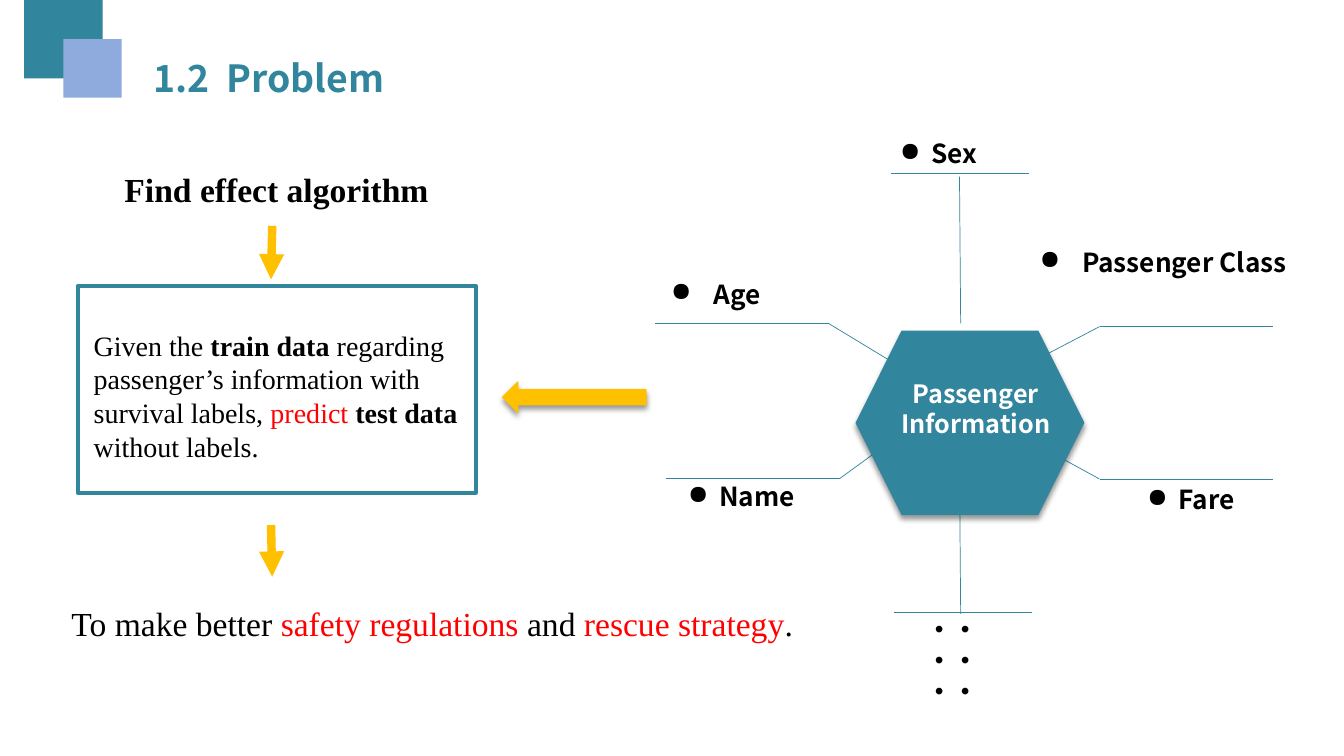
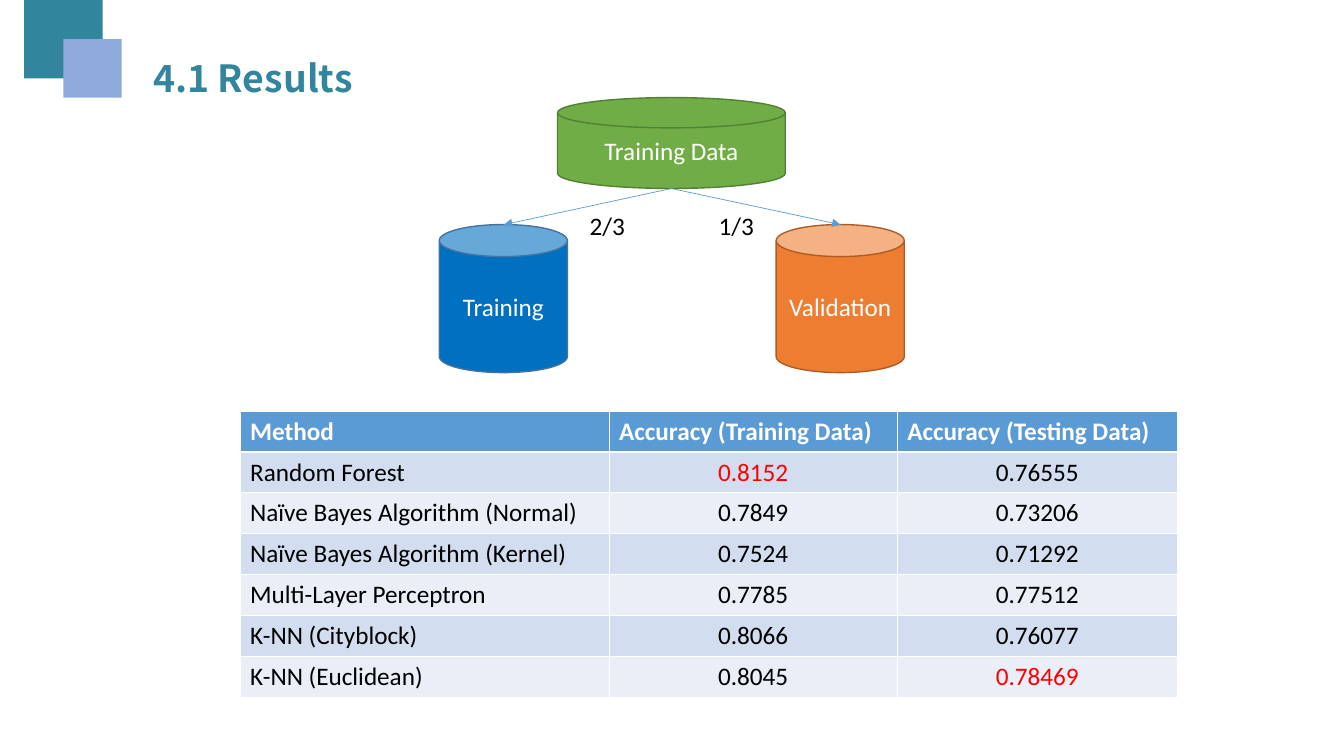
"""Build two slides: the passenger survival problem and the accuracy results."""
from lxml.etree import SubElement
from pptx import Presentation
from pptx.dml.color import RGBColor
from pptx.enum.shapes import MSO_CONNECTOR, MSO_SHAPE
from pptx.enum.text import MSO_ANCHOR, PP_ALIGN
from pptx.oxml.ns import qn
from pptx.util import Cm, Pt

TEAL, PERIWINKLE, AMBER = "31859C", "8FAADC", "FFC000"
BLUE, RED, BLACK, WHITE = "5B9BD5", "FF0000", "000000", "FFFFFF"
SANS, SERIF, BODY = "Noto Sans CJK SC", "Times New Roman", "Calibri"
rgb = RGBColor.from_string


def write(tf, *runs, size=18, font=BODY, color=BLACK, bold=False,
          center=False, bullet=0, wrap=True):
    """Fill a text frame; a run is a string or (string, colour, bold)."""
    tf.word_wrap = wrap
    p = tf.paragraphs[0]
    p.alignment = PP_ALIGN.CENTER if center else PP_ALIGN.LEFT
    if bullet:
        pPr = p._p.get_or_add_pPr()
        pPr.set("marL", str(Cm(bullet)))
        pPr.set("indent", str(-Cm(bullet)))
        SubElement(pPr, qn("a:buChar"), char="●")
    for run in runs:
        text, run_color, run_bold = (run, color, bold) if isinstance(run, str) else run
        r = p.add_run()
        r.text = text
        r.font.name, r.font.size, r.font.bold = font, Pt(size), run_bold
        r.font.color.rgb = rgb(run_color)
        SubElement(r._r.get_or_add_rPr(), qn("a:ea"), typeface=font)


def draw_line(s, start, end, color, width=0.5, arrow=False):
    """Draw a straight line between two points given in centimetres."""
    c = s.shapes.add_connector(MSO_CONNECTOR.STRAIGHT, *map(Cm, start + end))
    c.line.color.rgb = rgb(color)
    c.line.width = Pt(width)
    spPr = c._element.spPr
    if arrow:
        SubElement(spPr.find(qn("a:ln")), qn("a:tailEnd"), type="triangle")
    SubElement(spPr, qn("a:effectLst"))


prs = Presentation()
prs.slide_width, prs.slide_height = Cm(33.87), Cm(19.05)

for title in ("1.2  Problem", "4.1 Results"):
    s = prs.slides.add_slide(prs.slide_layouts[6])
    for x, y, side, color in ((0.61, 0, 1.98, TEAL), (1.6, 0.99, 1.47, PERIWINKLE)):
        sp = s.shapes.add_shape(MSO_SHAPE.RECTANGLE, Cm(x), Cm(y), Cm(side), Cm(side))
        sp.shadow.inherit = False
        sp.fill.solid()
        sp.fill.fore_color.rgb = rgb(color)
        sp.line.fill.background()
    tb = s.shapes.add_textbox(Cm(3.61), Cm(1.27), Cm(9.68), Cm(1.4))
    write(tb.text_frame, title, size=26.7, font=SANS, color=TEAL, bold=True)

problem, results = prs.slides

spokes = (
    ((22.48, 9.12), (20.88, 8.15), (16.51, 8.15)),
    ((24.21, 8.15), (24.18, 4.45)),
    ((25.93, 4.37), (22.45, 4.37)),
    ((26.01, 9.12), (27.71, 8.23), (32.08, 8.23)),
    ((22.48, 11.1), (21.16, 12.06), (16.79, 12.06)),
    ((25.93, 11.1), (27.71, 12.07), (32.08, 12.07)),
    ((24.21, 15.47), (24.18, 11.73)),
    ((26.01, 15.42), (22.53, 15.42)),
)
for points in spokes:
    for start, end in zip(points, points[1:]):
        draw_line(problem, start, end, TEAL)

features = (
    ("Age", 16.66, 6.88, 4.06, 1.07, False),
    ("Sex", 22.43, 3.33, 8.1, 0.79, False),
    ("Passenger Class", 25.93, 6.07, 6.76, 1.07, True),
    ("Name", 15.6, 11.99, 6.17, 0.79, True),
    ("Fare", 27.05, 12.06, 5.92, 0.79, True),
    ("······", 23.09, 15.32, 2.31, 0, False),
)
for text, x, y, w, bullet, center in features:
    tb = problem.shapes.add_textbox(Cm(x), Cm(y), Cm(w), Cm(1.07))
    write(tb.text_frame, text, size=18.7, font=SANS, bold=True,
          center=center, bullet=bullet)

for kind, x, y, w, h, color in (
    (MSO_SHAPE.HEXAGON, 21.56, 8.33, 5.77, 4.65, TEAL),
    (MSO_SHAPE.LEFT_ARROW, 12.67, 9.63, 3.61, 0.76, AMBER),
):
    sp = problem.shapes.add_shape(kind, Cm(x), Cm(y), Cm(w), Cm(h))
    sp.fill.solid()
    sp.fill.fore_color.rgb = rgb(color)
    if kind == MSO_SHAPE.HEXAGON:
        sp.line.fill.background()
    else:
        sp.line.color.rgb = rgb(color)
        sp.line.width = Pt(1)
    sp.shadow.inherit = False
    shadow = SubElement(sp._element.spPr.find(qn("a:effectLst")), qn("a:outerShdw"),
                        blurRad=str(Pt(4)), dist=str(Pt(3)), dir="5400000", rotWithShape="0")
    tint = SubElement(shadow, qn("a:srgbClr"), val=BLACK)
    SubElement(tint, qn("a:alpha"), val="40000")

tb = problem.shapes.add_textbox(Cm(22.33), Cm(9.4), Cm(4.52), Cm(1.8))
write(tb.text_frame, "Passenger Information", font=SANS, color=WHITE, bold=True, center=True)

sp = problem.shapes.add_shape(MSO_SHAPE.RECTANGLE, Cm(1.96), Cm(7.21), Cm(10.03), Cm(5.21))
sp.shadow.inherit = False
sp.fill.background()
sp.line.color.rgb = rgb(TEAL)
sp.line.width = Pt(3)

draw_line(problem, (6.86, 5.69), (6.83, 7.04), AMBER, 6, arrow=True)
draw_line(problem, (6.83, 13.23), (6.86, 14.53), AMBER, 6, arrow=True)

tb = problem.shapes.add_textbox(Cm(2.03), Cm(4.14), Cm(9.88), Cm(1.12))
write(tb.text_frame, "Find effect algorithm", size=24, font=SERIF, bold=True, center=True)
tb = problem.shapes.add_textbox(Cm(2.11), Cm(8.15), Cm(9.8), Cm(3.68))
write(tb.text_frame, "Given the ", ("train data ", BLACK, True),
      "regarding passenger’s information with survival labels, ",
      ("predict ", RED, False), ("test data ", BLACK, True), "without labels.",
      size=20, font=SERIF)
tb = problem.shapes.add_textbox(Cm(1.55), Cm(15.06), Cm(20.17), Cm(1.27))
write(tb.text_frame, "To make better ", ("safety regulations ", RED, False), "and ",
      ("rescue strategy", RED, False), ".", size=24, font=SERIF)

rows = (
    ("Method", "Accuracy (Training Data)", "Accuracy (Testing Data)"),
    ("Random Forest", "0.8152", "0.76555"),
    ("Naïve Bayes Algorithm (Normal)", "0.7849", "0.73206"),
    ("Naïve Bayes Algorithm (Kernel)", "0.7524", "0.71292"),
    ("Multi-Layer Perceptron", "0.7785", "0.77512"),
    ("K-NN (Cityblock)", "0.8066", "0.76077"),
    ("K-NN (Euclidean)", "0.8045", "0.78469"),
)
best = [max(column) for column in list(zip(*rows[1:]))[1:]]
table = results.shapes.add_table(len(rows), 3, Cm(6.05), Cm(10.36), Cm(23.62), Cm(7.21)).table
for column, width in zip(table.columns, (9.3, 7.26, 7.06)):
    column.width = Cm(width)
for i, row in enumerate(rows):
    for j, text in enumerate(row):
        cell = table.cell(i, j)
        cell.fill.solid()
        cell.fill.fore_color.rgb = rgb(BLUE if i == 0 else "D2DEEF" if i % 2 else "EAEFF7")
        color = WHITE if i == 0 else RED if text in best else BLACK
        write(cell.text_frame, text, color=color, bold=i == 0, center=i > 0 and j > 0)

for text, kind, x, y, w, h, fill, outline in (
    ("Training Data", MSO_SHAPE.FLOWCHART_MAGNETIC_DISK, 14.05, 2.46, 5.74, 2.29, "70AD47", "538035"),
    ("Training", MSO_SHAPE.CAN, 11.07, 5.66, 3.23, 3.73, "0070C0", "43739E"),
    ("Validation", MSO_SHAPE.CAN, 19.56, 5.66, 3.23, 3.73, "ED7D31", "AF5C24"),
):
    sp = results.shapes.add_shape(kind, Cm(x), Cm(y), Cm(w), Cm(h))
    sp.shadow.inherit = False
    sp.fill.solid()
    sp.fill.fore_color.rgb = rgb(fill)
    sp.line.color.rgb = rgb(outline)
    sp.line.width = Pt(1)
    sp.text_frame.vertical_anchor = MSO_ANCHOR.MIDDLE
    write(sp.text_frame, text, color=WHITE, center=True)

for share, x, tip in (("2/3", 14.61, 12.7), ("1/3", 17.86, 21.18)):
    draw_line(results, (16.92, 4.75), (tip, 5.66), BLUE, arrow=True)
    tb = results.shapes.add_textbox(Cm(x), Cm(5.18), Cm(1.42), Cm(1.02))
    write(tb.text_frame, share, wrap=False)

prs.save("out.pptx")
